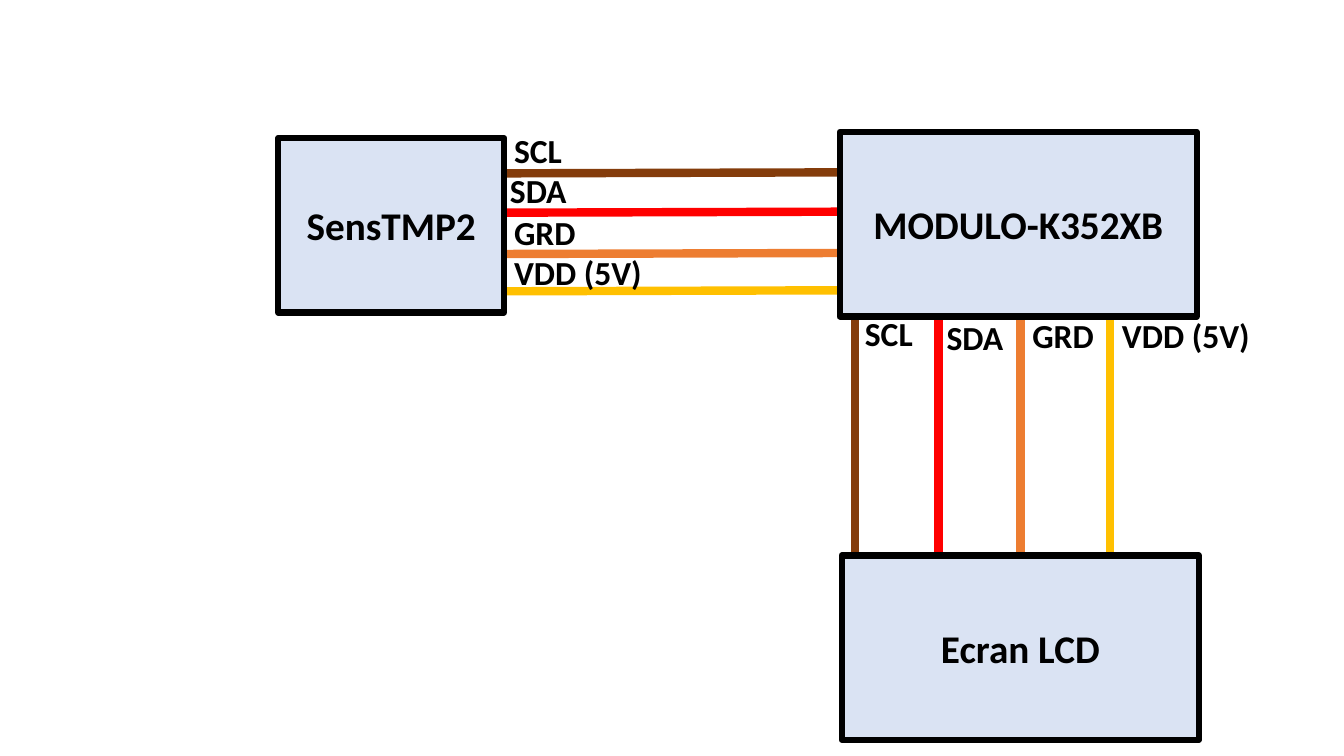
from dataclasses import dataclass

from pptx import Presentation
from pptx import util as u
from pptx.dml.color import RGBColor
from pptx.enum import shapes, text
from pptx.oxml.ns import qn
from lxml import etree


@dataclass(frozen=True)
class Theme:
    """Colours, font and sizes of the wiring diagram."""
    font: str = "Calibri"
    ink: str = "000000"
    box_fill: str = "DAE3F3"
    scl: str = "843C0B"
    sda: str = "FF0000"
    grd: str = "ED7D31"
    vdd: str = "FFC000"
    box_size: int = 28
    label_size: int = 24
    border: float = 4.5
    wire: int = 6


class Diagram:
    """Draws blocks, wires and labels on one slide."""

    def __init__(self, s, theme):
        """Keep the slide and its style."""
        self.s, self.theme = s, theme

    def set_text(self, shape, words, size):
        """Put one bold paragraph in a shape and return it."""
        p = shape.text_frame.paragraphs[0]
        p.text = words
        p.font.name, p.font.size, p.font.bold = self.theme.font, u.Pt(size), True
        p.font.color.rgb = RGBColor.from_string(self.theme.ink)
        return p

    def block(self, words, left, top, width, height):
        """Draw a component as an outlined box with a centred name."""
        sp = self.s.shapes.add_shape(shapes.MSO_SHAPE.RECTANGLE,
                                     *map(u.Inches, (left, top, width, height)))
        sp.shadow.inherit = False
        sp.fill.solid()
        sp.fill.fore_color.rgb = RGBColor.from_string(self.theme.box_fill)
        sp.line.color.rgb = RGBColor.from_string(self.theme.ink)
        sp.line.width = u.Pt(self.theme.border)
        sp.text_frame.word_wrap = True
        sp.text_frame.vertical_anchor = text.MSO_ANCHOR.MIDDLE
        p = self.set_text(sp, words, self.theme.box_size)
        p.alignment = text.PP_ALIGN.CENTER

    def wire(self, color, x1, y1, x2, y2):
        """Draw a coloured wire between two points."""
        line = self.s.shapes.add_connector(shapes.MSO_CONNECTOR.STRAIGHT,
                                           *map(u.Inches, (x1, y1, x2, y2)))
        line.line.color.rgb = RGBColor.from_string(color)
        line.line.width = u.Pt(self.theme.wire)
        etree.SubElement(line._element.spPr, qn("a:effectLst"))

    def label(self, words, left, top):
        """Name a signal next to its wire."""
        width = 2.17 if len(words) > 3 else 1.16
        sp = self.s.shapes.add_textbox(*map(u.Inches, (left, top, width, 0.5)))
        sp.text_frame.word_wrap = True
        sp.text_frame.auto_size = text.MSO_AUTO_SIZE.SHAPE_TO_FIT_TEXT
        self.set_text(sp, words, self.theme.label_size)


def main():
    """Build the wiring slide."""
    prs = Presentation()
    prs.slide_width, prs.slide_height = u.Inches(13.33), u.Inches(7.5)
    theme = Theme()
    d = Diagram(prs.slides.add_slide(prs.slide_layouts[6]), theme)

    # signal, colour, sensor wire y, sensor label place, screen wire x, screen label place
    signals = [
        ("SCL", theme.scl, 1.72, (5, 1.24), 8.48, (8.48, 3.06)),
        ("SDA", theme.sda, 2.11, (4.96, 1.64), 9.31, (9.29, 3.09)),
        ("GRD", theme.grd, 2.52, (5, 2.05), 10.12, (10.14, 3.08)),
        ("VDD (5V)", theme.vdd, 2.89, (5, 2.45), 11.01, (11.03, 3.08)),
    ]
    for _, color, y, _, x, _ in signals:
        d.wire(color, 5, y, 8.33, y - 0.01)
        d.wire(color, x, 3.14, x, 5.55)
    for name, _, _, sensor_place, _, screen_place in signals:
        d.label(name, *sensor_place)
        d.label(name, *screen_place)

    d.block("SensTMP2", 2.76, 1.37, 2.24, 1.73)
    d.block("MODULO-K352XB", 8.33, 1.31, 3.54, 1.83)
    d.block("Ecran LCD", 8.35, 5.51, 3.54, 1.83)
    prs.save("out.pptx")


main()
